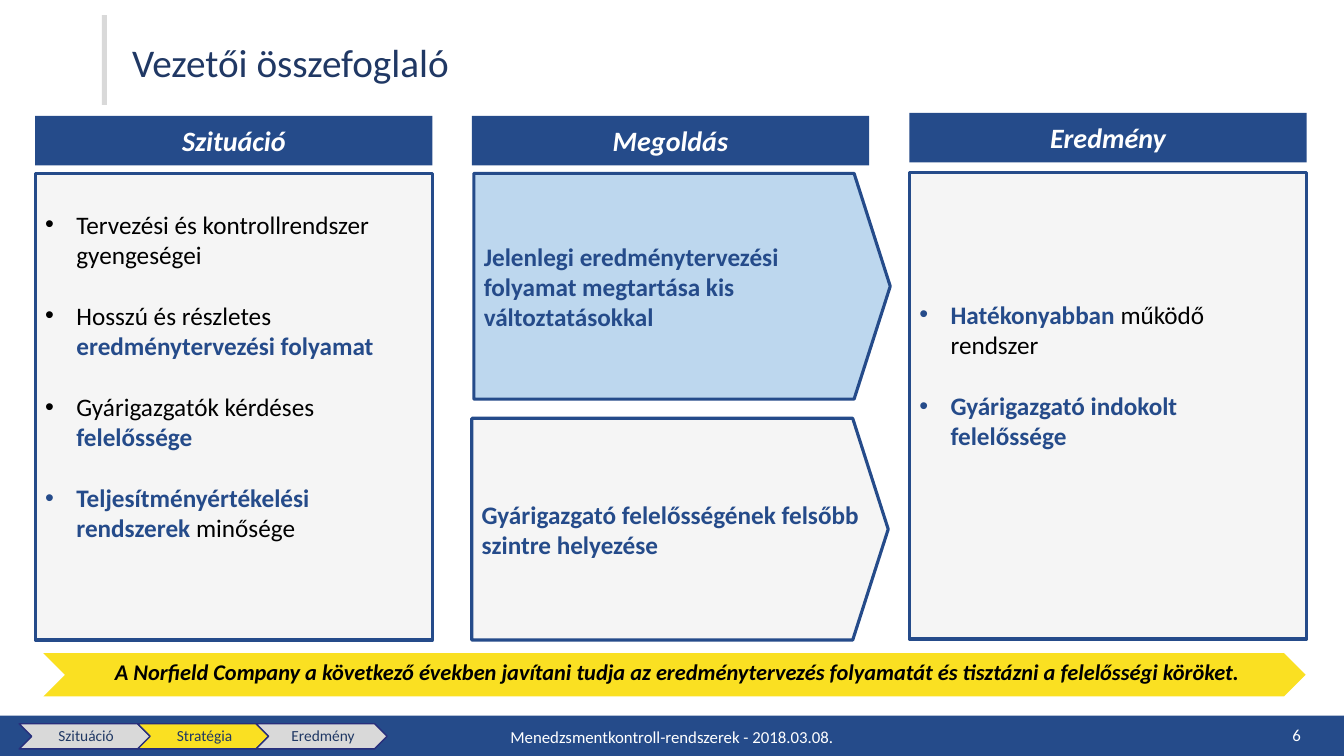
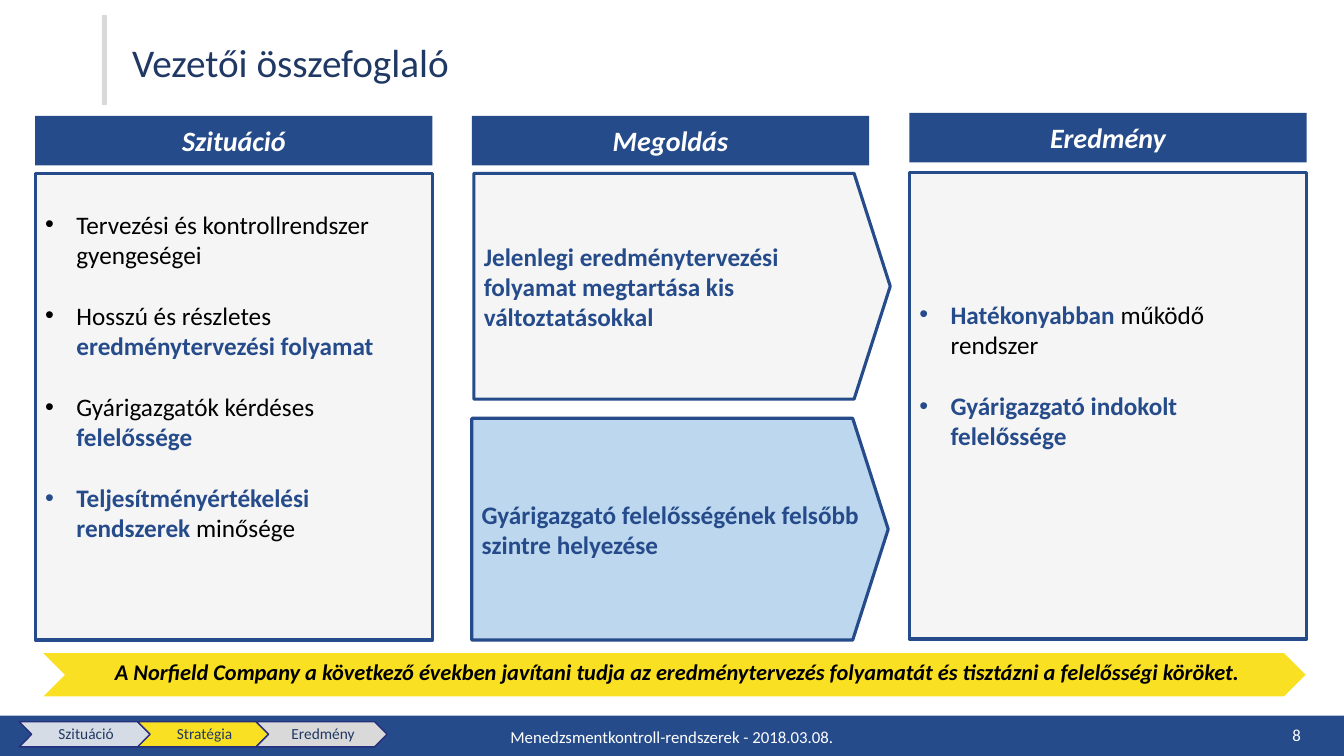
from lxml.etree import SubElement
from pptx import Presentation
from pptx.dml.color import RGBColor
from pptx.enum.shapes import MSO_SHAPE
from pptx.enum.text import MSO_ANCHOR, PP_ALIGN
from pptx.oxml.ns import qn
from pptx.util import Inches, Pt

NAVY, INK, BLACK, WHITE = "254B8A", "203864", "000000", "FFFFFF"
PALE, LIGHT, GREY, YELLOW, EDGE = "F5F5F5", "BDD7EE", "D9D9D9", "FAE022", "282F7C"
FONT = "Calibri"
INSET = (0.1, 0.05, 0.1, 0.05)
LINE = 0.305

TITLE = "Vezetői összefoglaló"
FOOTER = "Menedzsmentkontroll-rendszerek - 2018.03.08."
BANNER = ("A Norfield Company a következő években javítani tudja az "
          "eredménytervezés folyamatát és tisztázni a felelősségi köröket.")
HEADS = [("Szituáció", 0.35, 1.15), ("Megoldás", 4.68, 1.15), ("Eredmény", 9.02, 1.12)]
LISTS = [
    (0.35, 1.72, [
        [("Tervezési és kontrollrendszer gyengeségei", False)],
        [("Hosszú és részletes ", False), ("eredménytervezési folyamat", True)],
        [("Gyárigazgatók kérdéses ", False), ("felelőssége", True)],
        [("Teljesítményértékelési rendszerek ", True), ("minősége", False)],
    ]),
    (9.02, 1.71, [
        [("Hatékonyabban", True), (" működő rendszer", False)],
        [("Gyárigazgató indokolt felelőssége", True)],
    ]),
]
PLANS = [
    ("Jelenlegi eredménytervezési folyamat megtartása kis változtatásokkal", 4.7, 1.72, 2.24),
    ("Gyárigazgató felelősségének felsőbb szintre helyezése", 4.68, 4.15, 2.2),
]
STEPS = ["Szituáció", "Stratégia", "Eredmény"]
PAGES = [
    {"number": "6", "active": 0, "top": 7.18, "fills": [GREY, YELLOW, GREY]},
    {"number": "8", "active": 1, "top": 7.16, "fills": ["D6DCE5", YELLOW, GREY]},
]


def rgb(code):
    return RGBColor.from_string(code)


def place(item, box):
    item.left, item.top, item.width, item.height = map(Inches, box)


def add_box(slide, kind, box, fill, line=None, weight=2.25):
    shape = slide.shapes.add_shape(kind, *map(Inches, box))
    shape.shadow.inherit = False
    shape.fill.solid()
    shape.fill.fore_color.rgb = rgb(fill)
    if line:
        shape.line.color.rgb = rgb(line)
        shape.line.width = Pt(weight)
    else:
        shape.line.fill.background()
    return shape


def set_frame(shape, inset=INSET, anchor=MSO_ANCHOR.MIDDLE):
    frame = shape.text_frame
    frame.word_wrap = True
    frame.vertical_anchor = anchor
    (frame.margin_left, frame.margin_top,
     frame.margin_right, frame.margin_bottom) = map(Inches, inset)
    return frame


def set_font(para, size, color=None, bold=False, italic=False):
    font = para.font
    font.name, font.size, font.bold, font.italic = FONT, Pt(size), bold, italic
    if color:
        font.color.rgb = rgb(color)


def write(shape, text, size, color, align=PP_ALIGN.LEFT, bold=False, italic=False,
          inset=INSET, anchor=MSO_ANCHOR.MIDDLE):
    para = set_frame(shape, inset, anchor).paragraphs[0]
    para.text = text
    para.alignment = align
    set_font(para, size, color, bold, italic)
    return para


def add_bullet(para):
    props = para._p.get_or_add_pPr()
    props.set("marL", str(Inches(0.31)))
    props.set("indent", str(Inches(-0.31)))
    SubElement(props, qn("a:buFont")).set("typeface", "Arial")
    SubElement(props, qn("a:buChar")).set("char", "•")


def add_list(slide, left, top, items):
    shape = add_box(slide, MSO_SHAPE.RECTANGLE, (left, top, 3.94, 4.63), PALE, NAVY)
    frame = set_frame(shape, (0.1, 0.05, 0.1, 0.05 + 2 * LINE))
    for index, runs in enumerate(items):
        para = frame.add_paragraph() if index else frame.paragraphs[0]
        para.alignment = PP_ALIGN.LEFT
        para.space_before = Inches(LINE) if index else Pt(0)
        add_bullet(para)
        set_font(para, 18)
        for text, strong in runs:
            run = para.add_run()
            run.text = text
            run.font.bold = strong
            run.font.color.rgb = rgb(NAVY if strong else BLACK)


def add_label(slide, text, box, align):
    write(slide.shapes.add_textbox(*map(Inches, box)), text, 12, WHITE, align)


def add_steps(slide, top, fills):
    for index, (text, fill) in enumerate(zip(STEPS, fills)):
        box = (0.19 + 1.175 * index, top, 1.3, 0.25)
        shape = add_box(slide, MSO_SHAPE.CHEVRON, box, fill, EDGE, 1)
        para = write(shape, text, 11, INK, PP_ALIGN.CENTER, inset=(0.05, 0.02, 0.02, 0.02))
        para.line_spacing = 0.9


def add_frame(slide, layout):
    for box, fill in [((0, 7.1, 13.33, 0.41), NAVY), ((1.01, 0.15, 0.05, 0.89), GREY)]:
        shape = add_box(slide, MSO_SHAPE.RECTANGLE, box, fill)
        layout.shapes.element.append(shape.element)


def fill_slide(slide, page):
    title = slide.shapes.title
    place(title, (1.21, 0.2, 11.67, 0.89))
    write(title, TITLE, 28, INK, PP_ALIGN.JUSTIFY).line_spacing = 0.9

    for text, left, top in HEADS:
        head = add_box(slide, MSO_SHAPE.RECTANGLE, (left, top, 3.94, 0.49), NAVY)
        write(head, text, 20, WHITE, PP_ALIGN.CENTER, True, True, (0, 0, 0, 0))
    for left, top, items in LISTS:
        add_list(slide, left, top, items)
    for index, (text, left, top, height) in enumerate(PLANS):
        fill = LIGHT if index == page["active"] else PALE
        plan = add_box(slide, MSO_SHAPE.PENTAGON, (left, top, 4.13, height), fill, NAVY)
        plan.adjustments[0] = 0.16
        write(plan, text, 18, NAVY, bold=True)

    banner = add_box(slide, MSO_SHAPE.CHEVRON, (0.43, 6.48, 12.52, 0.43), YELLOW)
    write(banner, BANNER, 16, BLACK, PP_ALIGN.CENTER, True, True,
          (0.16, 0.05, 0.1, 0.05), MSO_ANCHOR.TOP)
    add_steps(slide, page["top"], page["fills"])
    add_label(slide, FOOTER, (3.84, 7.11, 5.65, 0.4), PP_ALIGN.CENTER)
    add_label(slide, page["number"], (10, 7.09, 3, 0.4), PP_ALIGN.RIGHT)


def main():
    deck = Presentation()
    deck.slide_width, deck.slide_height = Inches(13.33), Inches(7.5)
    layout = deck.slide_layouts[5]
    for index, page in enumerate(PAGES):
        slide = deck.slides.add_slide(layout)
        if index == 0:
            add_frame(slide, layout)
        fill_slide(slide, page)
    deck.save("out.pptx")


if __name__ == "__main__":
    main()
